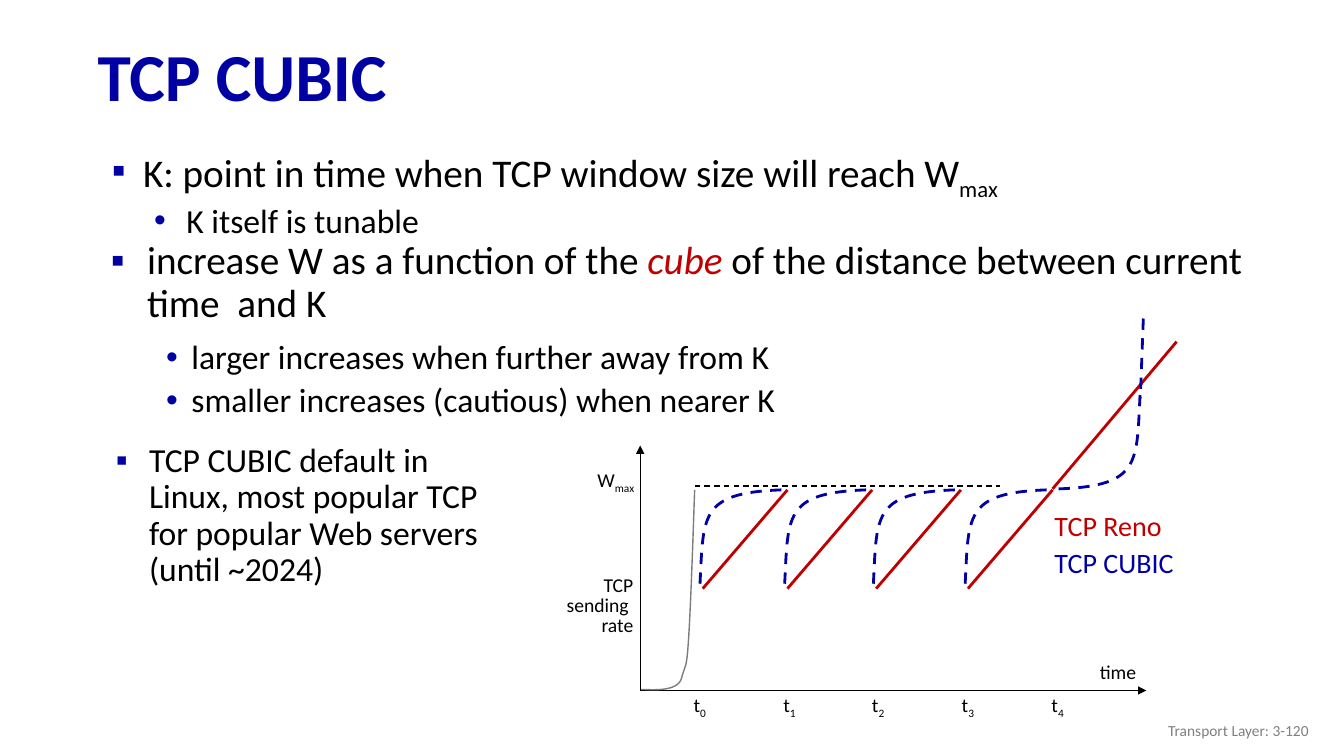
from collections import namedtuple

from lxml import etree
from pptx import Presentation
from pptx.dml.color import RGBColor
from pptx.enum.dml import MSO_LINE
from pptx.enum.shapes import MSO_CONNECTOR
from pptx.enum.text import MSO_ANCHOR, MSO_AUTO_SIZE, PP_ALIGN
from pptx.oxml.ns import qn
from pptx.util import Pt

PX = 9144  # 100 px to the inch
FONT = "Calibri"
NAVY = RGBColor(0x00, 0x00, 0xA3)
RED = RGBColor(0xC0, 0x00, 0x00)
BLACK = RGBColor(0x00, 0x00, 0x00)
GRAY = RGBColor(0x7C, 0x7C, 0x7C)
FOOTER_GRAY = RGBColor(0x80, 0x80, 0x80)

STRAIGHT = MSO_CONNECTOR.STRAIGHT
DASH = MSO_LINE.DASH
LEFT, RIGHT = PP_ALIGN.LEFT, PP_ALIGN.RIGHT
TOP, MIDDLE = MSO_ANCHOR.TOP, MSO_ANCHOR.MIDDLE
FIT_SHAPE = MSO_AUTO_SIZE.SHAPE_TO_FIT_TEXT

Bullet = namedtuple("Bullet", "mark margin hang level")
Span = namedtuple("Span", "text color italic subscript", defaults=(None, False, False))

AXIS_X, AXIS_Y = 635, 685
W_MAX_Y = 486
CYCLE_STARTS = (694, 778, 866, 957)


def add_frame(slide, left, top, width, height, anchor=TOP, wrap=True):
    box = slide.shapes.add_textbox(left * PX, top * PX, width * PX, height * PX)
    frame = box.text_frame
    frame.word_wrap = wrap
    frame.vertical_anchor = anchor
    if not wrap:
        frame.auto_size = FIT_SHAPE
    return frame


def add_bullet(paragraph, bullet):
    properties = paragraph._p.get_or_add_pPr()
    properties.set("marL", str(bullet.margin * PX))
    properties.set("indent", str(-bullet.hang * PX))
    color = etree.SubElement(properties, qn("a:buClr"))
    etree.SubElement(color, qn("a:srgbClr"), val=str(NAVY))
    etree.SubElement(properties, qn("a:buFont"), typeface="Arial")
    etree.SubElement(properties, qn("a:buChar"), char=bullet.mark)
    paragraph.level = bullet.level


def add_text(frame, *spans, size, color=BLACK, bold=False, align=LEFT,
             spacing=0.9, before=0, bullet=None):
    """Write one paragraph; each span is a string or a Span."""
    paragraph = frame.paragraphs[0]
    if paragraph.runs:
        paragraph = frame.add_paragraph()
    if bullet:
        add_bullet(paragraph, bullet)
    paragraph.alignment = align
    paragraph.line_spacing = spacing
    paragraph.space_before = Pt(before)
    for span in spans:
        if isinstance(span, str):
            span = Span(span)
        run = paragraph.add_run()
        run.text = span.text
        font = run.font
        font.name, font.size = FONT, Pt(size)
        font.bold, font.italic = bold, span.italic
        font.color.rgb = span.color or color
        if span.subscript:
            run._r.get_or_add_rPr().set("baseline", "-25000")


def style_line(line, color, width, dashed):
    line.color.rgb = color
    line.width = Pt(width)
    if dashed:
        line.dash_style = DASH


def add_line(slide, start, end, color=BLACK, width=1, dashed=False, arrow=False):
    connector = slide.shapes.add_connector(
        STRAIGHT, *(value * PX for value in (*start, *end)))
    style_line(connector.line, color, width, dashed)
    if arrow:
        etree.SubElement(connector.line._get_or_add_ln(), qn("a:tailEnd"), type="triangle")
    etree.SubElement(connector._element.spPr, qn("a:effectLst"))


def add_curve(slide, points, color, width, dashed=False):
    """Draw joined cubic segments: a start point, then three points per segment."""
    anchors = [(x * PX, y * PX) for x, y in points[::3]]
    builder = slide.shapes.build_freeform(*anchors[0])
    builder.add_line_segments(anchors[1:], close=False)
    shape = builder.convert_to_shape()
    segments = list(shape._element.iter(qn("a:lnTo")))
    for index, segment in enumerate(segments):
        segment.tag = qn("a:cubicBezTo")
        controls = points[3 * index + 1:3 * index + 3]
        for position, (x, y) in enumerate(controls):
            control = etree.Element(qn("a:pt"), x=str(x * PX - shape.left),
                                    y=str(y * PX - shape.top))
            segment.insert(position, control)
    shape.shadow.inherit = False
    shape.fill.background()
    style_line(shape.line, color, width, dashed)


def add_cubic_growth(slide, x, y, direction=1):
    """Curve from its flat end at (x, y): down and left, or up and right for -1."""
    offsets = ((0, 0), (-83, 3), (-77, 26), (-81, 98))
    points = [(x + direction * dx, y + direction * dy) for dx, dy in offsets]
    add_curve(slide, points, NAVY, 2, dashed=True)


def add_plot(slide):
    add_line(slide, (AXIS_X, AXIS_Y), (1137, AXIS_Y), arrow=True)
    add_line(slide, (AXIS_X, AXIS_Y), (AXIS_X, 442), arrow=True)
    slow_start = [(689, W_MAX_Y), (687, 546), (685, 603), (683, 634), (681, 665),
                  (680, 658), (676, 673), (672, 687), (645, 684), (636, 684)]
    add_curve(slide, slow_start, GRAY, 1)
    add_line(slide, (689, 482), (992, 482), dashed=True)
    for x in CYCLE_STARTS:
        add_line(slide, (x + 87, W_MAX_Y), (x + 3, 584), RED, 2)
        add_cubic_growth(slide, x + 81, W_MAX_Y)
    add_line(slide, (1044, 485), (1167, 339), RED, 2)
    add_cubic_growth(slide, 1050, 485, direction=-1)
    add_line(slide, (1134, 316), (1131, 395), NAVY, 2, dashed=True)


def add_plot_labels(slide):
    axis_format = dict(size=14, align=RIGHT, spacing=0.85)
    rate = add_frame(slide, 550, 567, 88, 97, wrap=False)
    for line in ("TCP", "sending ", "rate"):
        add_text(rate, line, **axis_format)
    add_text(add_frame(slide, 579, 461, 60, 31, wrap=False),
             "W", Span("max", subscript=True), **axis_format)
    for index in range(5):
        tick = add_frame(slide, 676 + round(88.7 * index), 684, 34, 31, wrap=False)
        add_text(tick, "t", Span(str(index), subscript=True), **axis_format)
    add_text(add_frame(slide, 1081, 650, 57, 34, wrap=False), "time", size=14, spacing=1.0)
    legend = add_frame(slide, 1036, 505, 139, 103, wrap=False)
    add_text(legend, "TCP Reno", size=20, color=RED, spacing=0.85)
    add_text(legend, "TCP CUBIC", size=20, color=NAVY, spacing=0.85, before=6)


def add_body(slide):
    point_in_time = add_frame(slide, 87, 143, 1221, 104)
    add_text(point_in_time, "K: point in time when TCP window size will reach W",
             Span("max", subscript=True), size=28, bullet=Bullet("▪", 45, 31, 0))
    add_text(point_in_time, "K itself is tunable", size=24, before=5,
             bullet=Bullet("•", 88, 32, 1))

    increases = add_frame(slide, 104, 333, 1125, 109)
    detail = Bullet("•", 76, 25, 1)
    add_text(increases, "larger increases when further away from K", size=24, bullet=detail)
    add_text(increases, "smaller increases (cautious) when nearer K", size=24, before=5,
             bullet=detail)

    add_text(add_frame(slide, 87, 435, 399, 221),
             "TCP CUBIC default in Linux, most popular TCP for popular Web servers (until ~2024)",
             size=24, bullet=Bullet("▪", 51, 33, 0))

    add_text(add_frame(slide, 86, 234, 1221, 221),
             "increase W as a function of the ", Span("cube", RED, italic=True),
             " of the distance between current time  and K",
             size=28, bullet=Bullet("▪", 50, 36, 0))


def main():
    presentation = Presentation()
    presentation.slide_width, presentation.slide_height = 1333 * PX, 750 * PX
    slide = presentation.slides.add_slide(presentation.slide_layouts[6])
    add_text(add_frame(slide, 87, 30, 1246, 98, anchor=MIDDLE),
             "TCP CUBIC", size=48, color=NAVY, bold=True)
    add_plot(slide)
    add_plot_labels(slide)
    add_body(slide)
    add_text(add_frame(slide, 1008, 705, 300, 40, anchor=MIDDLE),
             "Transport Layer: 3-120", size=11, color=FOOTER_GRAY, align=RIGHT, spacing=1.0)
    presentation.save("out.pptx")


if __name__ == "__main__":
    main()
